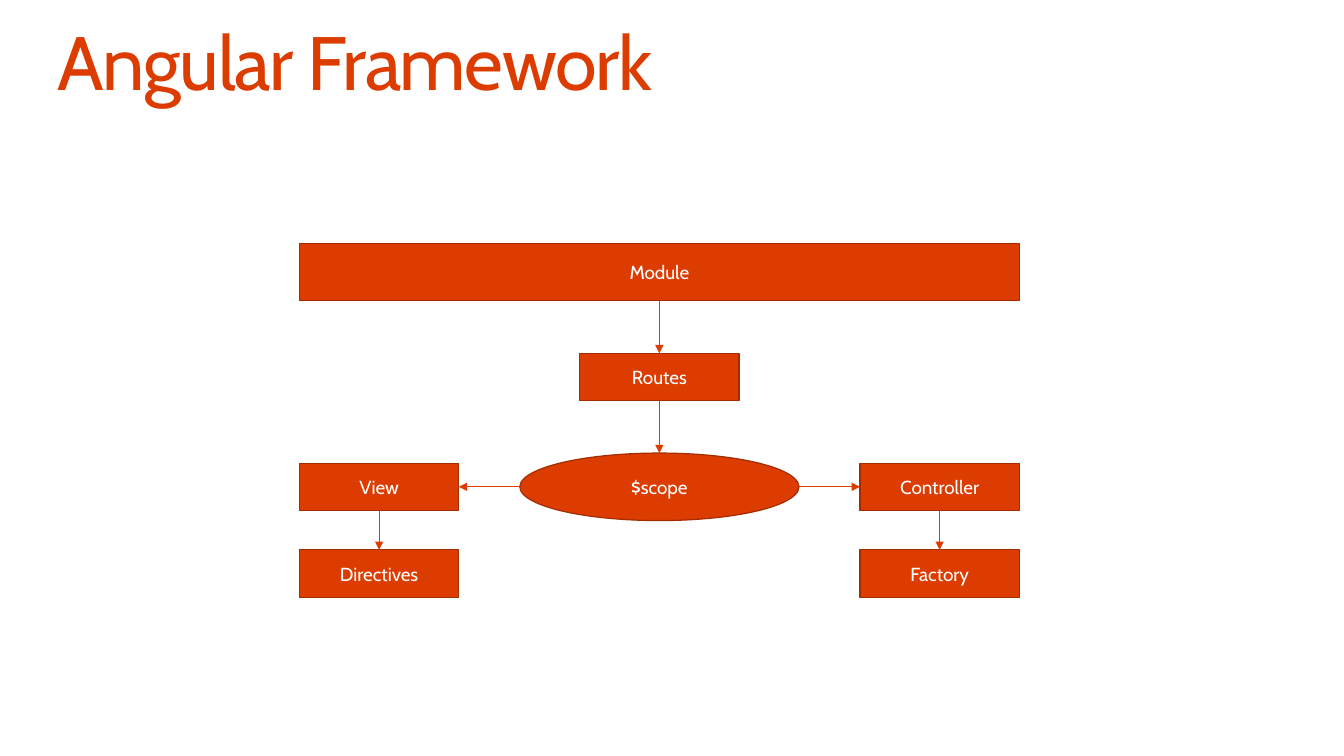
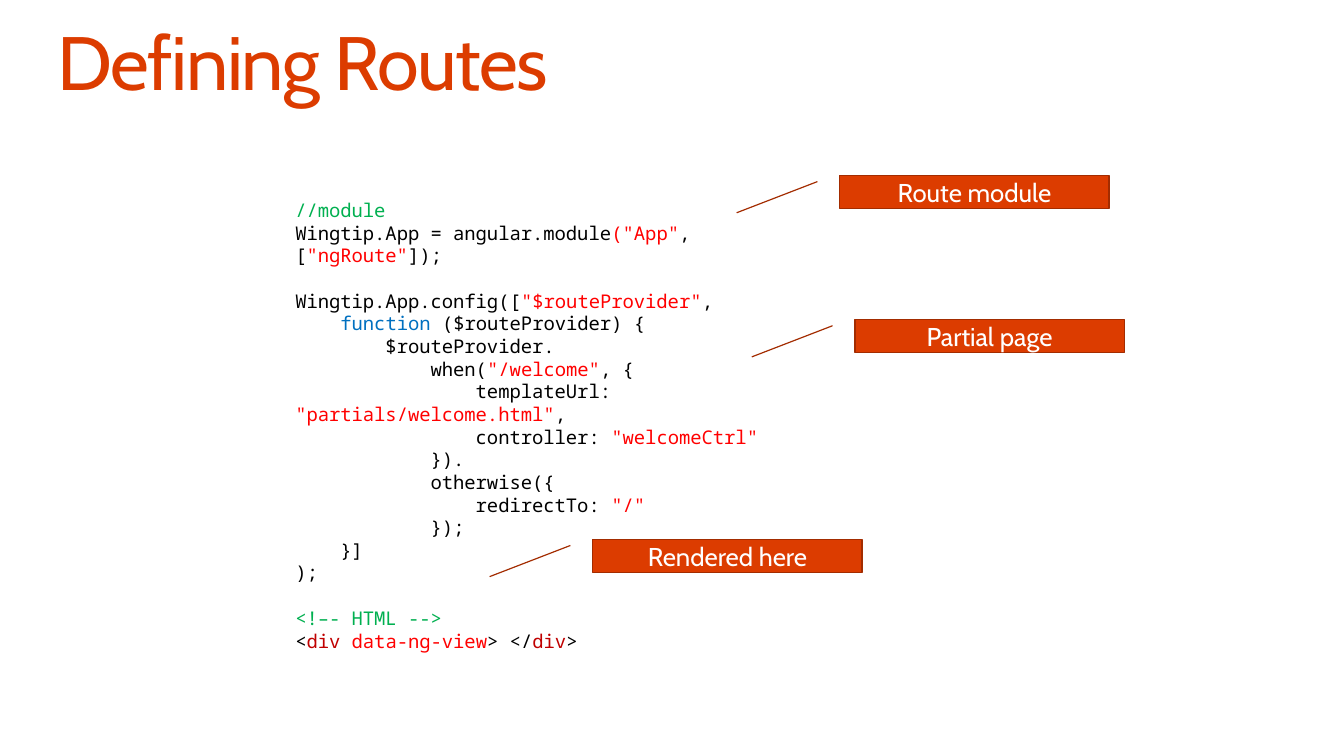
import pptx
import pptx.dml.color
import pptx.enum.shapes
import pptx.enum.text
import pptx.oxml.ns
import pptx.util

RGBColor = pptx.dml.color.RGBColor
Inches = pptx.util.Inches
Pt = pptx.util.Pt
SHAPE = pptx.enum.shapes.MSO_SHAPE
ALIGN = pptx.enum.text.PP_ALIGN
ANCHOR = pptx.enum.text.MSO_ANCHOR
AUTO_SIZE = pptx.enum.text.MSO_AUTO_SIZE

ORANGE = RGBColor(0xDC, 0x3C, 0x00)
RUST = RGBColor(0xA3, 0x2C, 0x00)
WHITE = RGBColor(0xFF, 0xFF, 0xFF)
PLAIN = RGBColor(0x00, 0x00, 0x00)
COMMENT = RGBColor(0x00, 0xB0, 0x50)
STRING = RGBColor(0xFF, 0x00, 0x00)
KEYWORD = RGBColor(0x00, 0x70, 0xC0)
TAG = RGBColor(0xC0, 0x00, 0x00)

FONT = "Cabin"
CODE_FONT = "Noto Sans Mono"
CODE_LINE_HEIGHT = 16.2

# Diagram grid: centres of the columns and rows, in inches
COLUMN_PITCH = 2.78
COLUMNS = [3.76 + COLUMN_PITCH * column for column in range(3)]
ROWS = [2.7, 3.74, 4.83, 5.69]
BOX_SIZE = (1.58, 0.47)
MODULE_SIZE = (2 * COLUMN_PITCH + BOX_SIZE[0], 0.57)
SCOPE_SIZE = (2.77, 0.67)

TOP, LEFT, BOTTOM, RIGHT = range(4)

CALLOUT_SIZE = (2.67, 0.33)
CALLOUTS = [
    ("Route module", 8.33, 1.74),
    ("Partial page", 8.48, 3.17),
    ("Rendered here", 5.88, 5.35),
]

# Blocks of lines; each line is a list of (text, colour) pieces
CODE_BLOCKS = [
    [
        [("//module", COMMENT)],
        [("Wingtip.App = angular.module", PLAIN), ('("App"', STRING),
         (", [", PLAIN), ('"ngRoute"', STRING), ("]);", PLAIN)],
    ],
    [
        [("Wingtip.App.config([", PLAIN), ('"$routeProvider"', STRING), (",", PLAIN)],
        [("    ", PLAIN), ("function", KEYWORD), (" ($routeProvider) {", PLAIN)],
        [("        $routeProvider.", PLAIN)],
        [("            when(", PLAIN), ('"/welcome"', STRING), (", {", PLAIN)],
        [("                templateUrl: ", PLAIN),
         ('"partials/welcome.html"', STRING), (",", PLAIN)],
        [("                controller: ", PLAIN), ('"welcomeCtrl"', STRING)],
        [("            }).", PLAIN)],
        [("            otherwise({", PLAIN)],
        [("                redirectTo: ", PLAIN), ('"/"', STRING)],
        [("            });", PLAIN)],
        [("    }]", PLAIN)],
        [(");", PLAIN)],
    ],
    [
        [("<!–- HTML -->", COMMENT)],
        [("<", PLAIN), ("div ", TAG), ("data-ng-view", STRING),
         ("> </", PLAIN), ("div", TAG), (">", PLAIN)],
    ],
]


def set_font(paragraph, name, size, color=None):
    paragraph.font.name = name
    paragraph.font.size = Pt(size)
    if color is not None:
        paragraph.font.color.rgb = color


def add_titled_slide(presentation, title):
    slide = presentation.slides.add_slide(presentation.slide_layouts.get_by_name("Title Only"))
    shape = slide.shapes.title
    shape.left, shape.top, shape.width, shape.height = map(Inches, (0.57, 0.25, 12.19, 0.82))
    frame = shape.text_frame
    frame.margin_left = frame.margin_top = frame.margin_right = frame.margin_bottom = 0
    frame.vertical_anchor = ANCHOR.TOP
    frame.auto_size = AUTO_SIZE.NONE
    frame.text = title
    paragraph = frame.paragraphs[0]
    paragraph.alignment = ALIGN.LEFT
    paragraph.line_spacing = 0.9
    set_font(paragraph, FONT, 54, ORANGE)
    properties = paragraph._p.get_or_add_pPr().find(pptx.oxml.ns.qn("a:defRPr"))
    properties.set("spc", "-100")
    return slide


def add_label(slide, kind, text, left, top, size, font_size):
    """Add a filled preset shape with centred white text."""
    shape = slide.shapes.add_shape(kind, Inches(left), Inches(top), *map(Inches, size))
    shape.shadow.inherit = False
    shape.fill.solid()
    shape.fill.fore_color.rgb = ORANGE
    shape.line.color.rgb = RUST
    shape.line.width = Pt(0.85)
    frame = shape.text_frame
    frame.word_wrap = True
    frame.vertical_anchor = ANCHOR.MIDDLE
    frame.text = text
    paragraph = frame.paragraphs[0]
    paragraph.alignment = ALIGN.CENTER
    set_font(paragraph, FONT, font_size, WHITE)
    return shape


def add_node(slide, text, column, row, size=BOX_SIZE, kind=SHAPE.RECTANGLE):
    """Add a diagram node centred on a grid point."""
    left = COLUMNS[column] - size[0] / 2
    top = ROWS[row] - size[1] / 2
    return add_label(slide, kind, text, left, top, size, 13.5)


def side_middle(shape, side):
    across = {TOP: 0.5, LEFT: 0, BOTTOM: 0.5, RIGHT: 1}[side]
    down = {TOP: 0, LEFT: 0.5, BOTTOM: 1, RIGHT: 0.5}[side]
    return (shape.left + round(shape.width * across),
            shape.top + round(shape.height * down))


def add_arrow(slide, start, start_side, end, end_side):
    """Draw an arrow between two side middles, joined where they belong to rectangles."""
    connector = slide.shapes.add_connector(
        pptx.enum.shapes.MSO_CONNECTOR.STRAIGHT,
        *side_middle(start, start_side), *side_middle(end, end_side))
    if start.auto_shape_type == SHAPE.RECTANGLE:
        connector.begin_connect(start, start_side)
    if end.auto_shape_type == SHAPE.RECTANGLE:
        connector.end_connect(end, end_side)
    connector.line.color.rgb = ORANGE
    connector.line.width = Pt(0.75)
    line = connector.line._get_or_add_ln()
    line.append(pptx.oxml.parse_xml(
        f'<a:tailEnd {pptx.oxml.ns.nsdecls("a")} type="triangle"/>'))
    line.addnext(pptx.oxml.parse_xml(f'<a:effectLst {pptx.oxml.ns.nsdecls("a")}/>'))


def add_code(slide, blocks, left, top, width, height):
    box = slide.shapes.add_textbox(*map(Inches, (left, top, width, height)))
    frame = box.text_frame
    frame.word_wrap = True
    frame.auto_size = AUTO_SIZE.SHAPE_TO_FIT_TEXT
    paragraph = None
    for block in blocks:
        for number, pieces in enumerate(block):
            starts_later_block = number == 0 and paragraph is not None
            paragraph = frame.paragraphs[0] if paragraph is None else frame.add_paragraph()
            if starts_later_block:
                paragraph.space_before = Pt(CODE_LINE_HEIGHT)
            set_font(paragraph, CODE_FONT, 13.5)
            for text, color in pieces:
                run = paragraph.add_run()
                run.text = text
                run.font.color.rgb = color


def build_framework_slide(presentation):
    slide = add_titled_slide(presentation, "Angular Framework")
    module = add_node(slide, "Module", 1, 0, MODULE_SIZE)
    routes = add_node(slide, "Routes", 1, 1)
    view = add_node(slide, "View", 0, 2)
    controller = add_node(slide, "Controller", 2, 2)
    directives = add_node(slide, "Directives", 0, 3)
    factory = add_node(slide, "Factory", 2, 3)
    scope = add_node(slide, "$scope", 1, 2, SCOPE_SIZE, SHAPE.OVAL)
    for upper, lower in [(module, routes), (routes, scope),
                         (view, directives), (controller, factory)]:
        add_arrow(slide, upper, BOTTOM, lower, TOP)
    add_arrow(slide, scope, LEFT, view, RIGHT)
    add_arrow(slide, scope, RIGHT, controller, LEFT)


def build_routes_slide(presentation):
    slide = add_titled_slide(presentation, "Defining Routes")
    add_code(slide, CODE_BLOCKS, 2.83, 1.92, 5.68, 4.19)
    for text, left, top in CALLOUTS:
        add_label(slide, SHAPE.LINE_CALLOUT_1, text, left, top, CALLOUT_SIZE, 18.4)


def main():
    presentation = pptx.Presentation()
    presentation.slide_width = Inches(13.33)
    presentation.slide_height = Inches(7.5)
    build_framework_slide(presentation)
    build_routes_slide(presentation)
    presentation.save("out.pptx")


if __name__ == "__main__":
    main()
